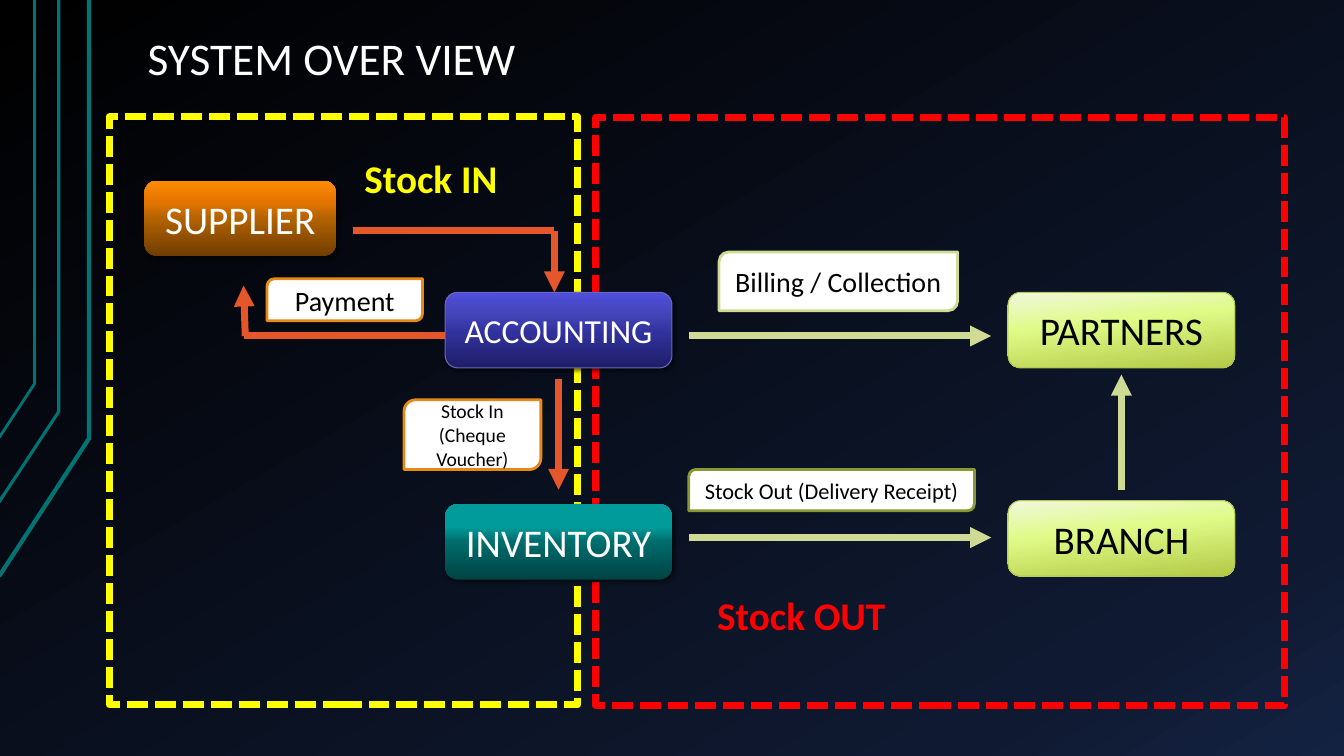
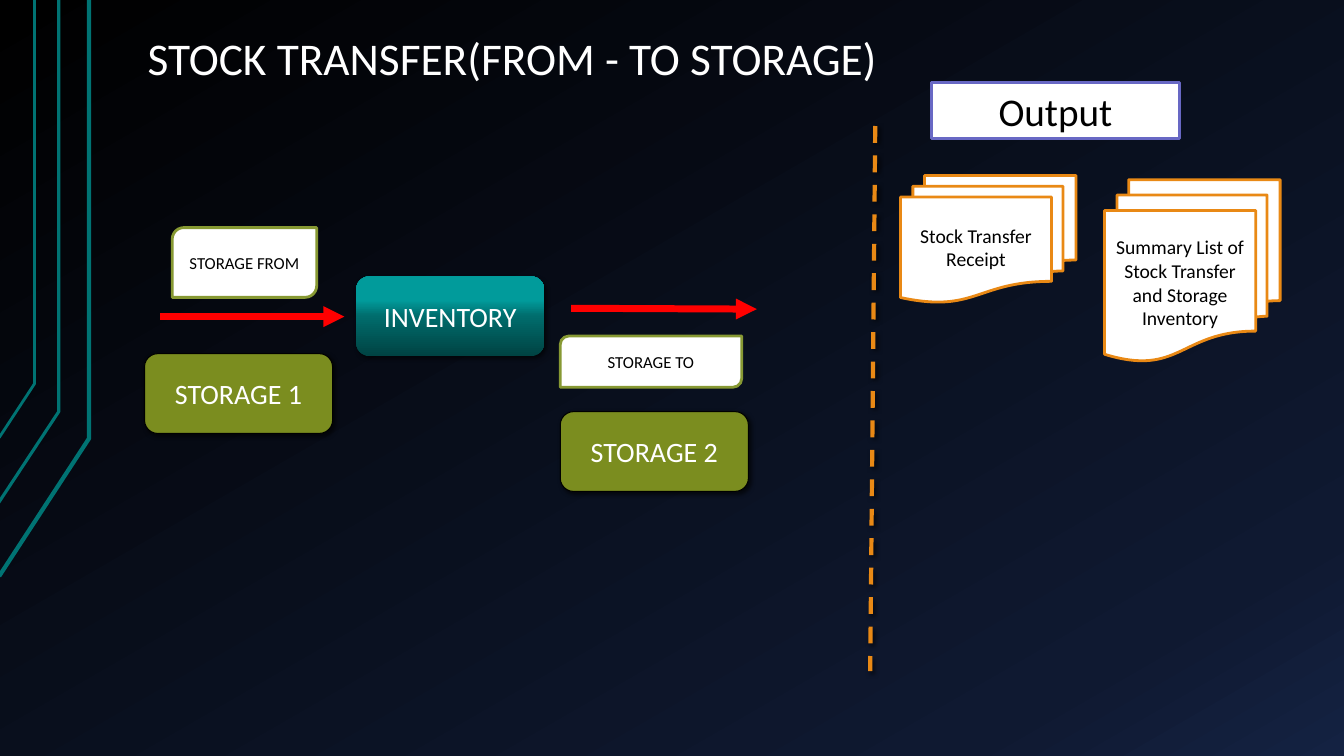
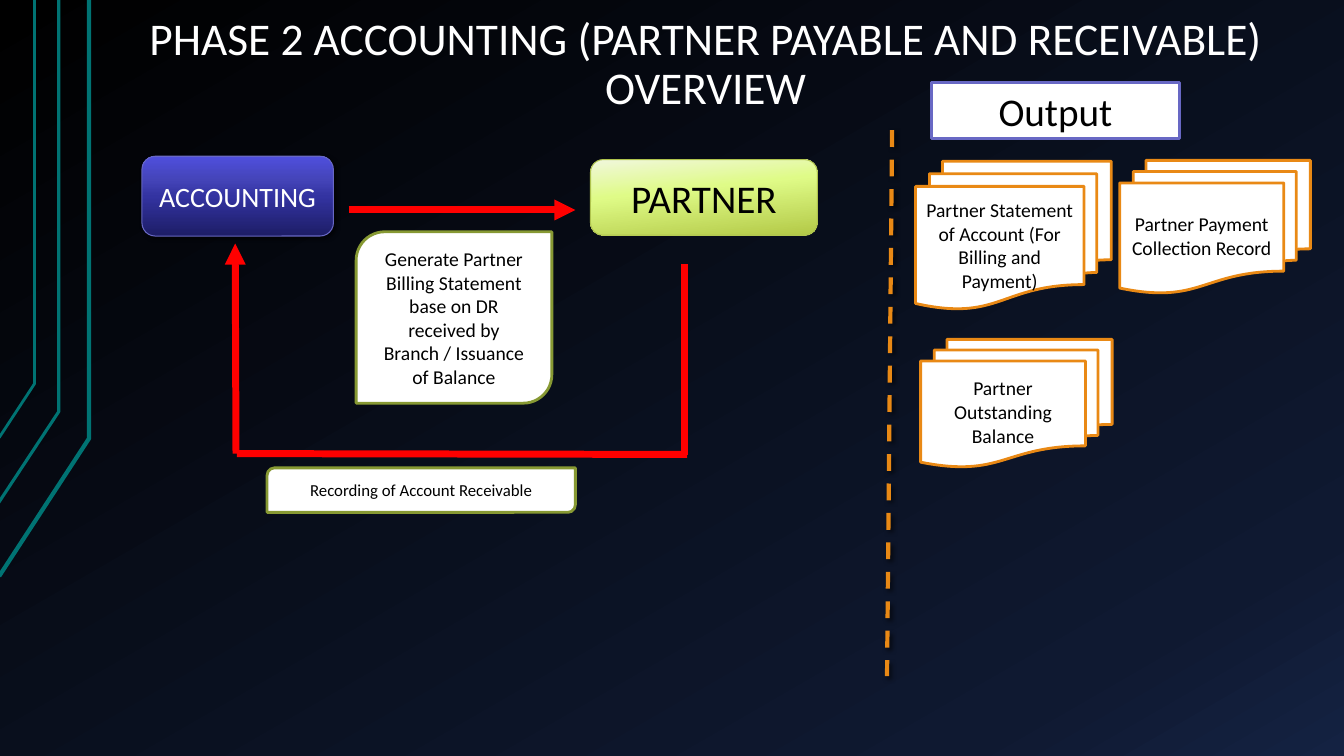
"""Build three flow-chart slides about stock, transfers and partner accounting."""
from lxml import etree
from pptx import Presentation
from pptx.dml.color import RGBColor
from pptx.enum.dml import MSO_LINE
from pptx.enum.shapes import MSO_CONNECTOR, MSO_SHAPE
from pptx.enum.text import MSO_ANCHOR, MSO_AUTO_SIZE, PP_ALIGN
from pptx.oxml.ns import qn
from pptx.util import Emu, Inches, Pt

LEFT, CENTER = PP_ALIGN.LEFT, PP_ALIGN.CENTER
MIDDLE, BOTTOM = MSO_ANCHOR.MIDDLE, MSO_ANCHOR.BOTTOM
RECT, ROUNDED = MSO_SHAPE.RECTANGLE, MSO_SHAPE.ROUNDED_RECTANGLE
DIAGONAL = MSO_SHAPE.ROUND_2_DIAG_RECTANGLE
DOCUMENTS = MSO_SHAPE.FLOWCHART_MULTIDOCUMENT
SHORT_DASH, DASH = MSO_LINE.SQUARE_DOT, MSO_LINE.DASH
STRAIGHT = MSO_CONNECTOR.STRAIGHT

FONT = "Calibri"
WHITE, BLACK, RED, YELLOW = "FFFFFF", "000000", "FF0000", "FFFF00"
ORANGE, RUST, LIME, OLIVE = "E98915", "E5572B", "CFDB94", "879933"
TEAL, INDIGO = "007373", "6868C4"

COLUMNS, ROWS = 160, 90
CELL = Inches(1) / 12

BACKDROP = ([(0, BLACK), (85, "0F1931"), (100, "142242")], 60)
RAILS = [
    ([(-0.1, 68.6), (10.6, 52.2), (10.6, 0)], 3),
    ([(-0.2, 59.9), (7, 49), (7, 0)], 2.25),
    ([(-0.1, 52.1), (4.1, 45.7), (4.1, 0)], 2),
]


def glossy(*colors):
    """Return a bottom-to-top gradient with the shared stops."""
    return list(zip((0, 50, 70, 100), colors)), 270


STYLES = {
    "yellow zone": dict(preset=RECT, line=YELLOW, width=5, dash=SHORT_DASH),
    "red zone": dict(preset=RECT, line=RED, width=5, dash=SHORT_DASH),
    "supplier": dict(fill=glossy("6F3D00", "B36200", "E27400", "FE8B00"),
                     shadow=True, ink=WHITE),
    "inventory": dict(fill=glossy("004343", "006C6C", "019B9B", "009999"),
                      shadow=True, ink=WHITE),
    "accounting": dict(fill=glossy("1D1D66", "3333A1", "4444B8", "4F4FDD"),
                       line=INDIGO, width=0.75, shadow=True, ink=WHITE),
    "partner": dict(fill=([(0, "F1F7DD"), (40, "DFFB87"), (100, "B3C947")], 84),
                    line="AFC34D", width=0.75),
    "storage": dict(fill="7B8D1F", line=BLACK, width=0.75, shadow=True, ink=WHITE),
    "orange note": dict(preset=DIAGONAL, fill=WHITE, line=ORANGE),
    "lime note": dict(preset=DIAGONAL, fill=WHITE, line=LIME),
    "olive note": dict(preset=DIAGONAL, fill=WHITE, line=OLIVE),
    "documents": dict(preset=DOCUMENTS, fill=WHITE, line=ORANGE),
    "output": dict(preset=RECT, fill=WHITE, line=INDIGO),
}

OUTPUT = ("output", "Output", 28, (110.9, 9.8, 29.5, 6.7))

SLIDES = [
    {
        "title": ("SYSTEM OVER VIEW", LEFT, (16, 3.6, 136, 7.4)),
        "boxes": [
            ("yellow zone", "", 0, (13, 13.9, 55.8, 70)),
            ("red zone", "", 0, (70.9, 14, 82, 70)),
            ("supplier", "SUPPLIER", 28, (17.2, 21.5, 22.8, 9)),
            ("inventory", "INVENTORY", 28, (53, 60, 27, 9)),
            ("accounting", "ACCOUNTING", 24, (53, 34.8, 27, 9)),
            ("partner", "PARTNERS", 28, (120, 34.8, 27, 9)),
            ("partner", "BRANCH", 28, (120, 59.6, 27, 9)),
            ("orange note", "Stock In (Cheque Voucher)", 14, (48.1, 47.6, 16.3, 8.3)),
            ("orange note", "Payment", 20, (31.8, 33.2, 18.5, 5)),
            ("lime note", "Billing / Collection", 20, (85.6, 30, 28.4, 7)),
            ("olive note", "Stock Out (Delivery Receipt)", 16, (82, 55.9, 34, 4.9)),
        ],
        "labels": [
            ("Stock IN", YELLOW, (42.2, 17.8, 18.5, 6.8)),
            ("Stock OUT", RED, (84.2, 69.8, 22.7, 6.8)),
        ],
        "lines": [
            (RUST, False, (42, 27.5, 66, 27.5)),
            (RUST, True, (66, 27.5, 66, 34.8)),
            (RUST, False, (53, 40, 29, 40)),
            (RUST, True, (29.2, 40, 29, 34)),
            (RUST, True, (66.5, 45.1, 66.5, 58.3)),
            (LIME, True, (133.5, 58.3, 133.5, 44.6)),
            (LIME, True, (82, 64, 118, 64)),
            (LIME, True, (82, 40, 118, 40)),
        ],
    },
    {
        "title": ("STOCK TRANSFER(FROM - TO STORAGE)", LEFT, (16, 3.6, 136, 7.4)),
        "boxes": [
            OUTPUT,
            ("documents", "Summary List of Stock Transfer and Storage Inventory", 14,
             (131.5, 21.4, 20.9, 21.6)),
            ("documents", "Stock Transfer Receipt", 14, (107.2, 20.9, 20.9, 15.1)),
            ("olive note", "STORAGE FROM", 12, (20.5, 27.1, 17.2, 8.3)),
            ("inventory", "INVENTORY", 20, (42.4, 32.9, 22.4, 9.5)),
            ("olive note", "STORAGE TO", 12, (66.7, 40, 21.6, 6.1)),
            ("storage", "STORAGE 2", 20, (66.7, 49, 22.4, 9.5)),
            ("storage", "STORAGE 1", 20, (17.2, 42.1, 22.4, 9.5)),
        ],
        "lines": [
            (RED, True, (19.1, 37.7, 41, 37.7)),
            (RED, True, (68, 36.7, 90.1, 36.8)),
        ],
        "divider": (104.2, 15, 103.6, 79.9),
    },
    {
        "title": ("PHASE 2 ACCOUNTING (PARTNER PAYABLE AND RECEIVABLE) OVERVIEW",
                  CENTER, (16, 1, 136, 13.4)),
        "boxes": [
            ("accounting", "ACCOUNTING", 20, (16.9, 18.6, 22.8, 9.5)),
            OUTPUT,
            ("documents", "Partner Statement of Account (For Billing and Payment)", 14,
             (109, 19.2, 23.3, 17.6)),
            ("partner", "PARTNER", 28, (70.3, 19, 27, 9)),
            ("documents", "Partner Payment Collection Record", 14,
             (133.3, 19.1, 22.7, 15.8)),
            ("documents", "Partner Outstanding Balance", 14, (109.6, 40.4, 22.8, 15.2)),
            ("olive note", "Generate Partner Billing Statement base on DR received by "
             "Branch / Issuance of Balance", 14, (42.4, 27.6, 23.3, 20.4)),
            ("olive note", "Recording of Account Receivable", 12,
             (31.8, 55.7, 36.7, 5.3)),
        ],
        "lines": [
            (RED, True, (28.1, 54, 28, 29)),
            (RED, True, (41.5, 25, 68.5, 25)),
            (RED, False, (81.5, 54.2, 81.5, 31.4)),
            (RED, False, (81.8, 54.1, 28.2, 54)),
        ],
        "divider": (106.2, 15.5, 105.6, 80.5),
    },
]


def color(value):
    """Turn a hex string into a colour."""
    return RGBColor.from_string(value)


def grid(*cells):
    """Turn grid cells into slide lengths."""
    return [Emu(round(cell * CELL)) for cell in cells]


def paint(fill, owner, value):
    """Apply no fill, a solid colour or a gradient of (stops, angle)."""
    if value is None:
        fill.background()
    elif isinstance(value, str):
        fill.solid()
        fill.fore_color.rgb = color(value)
    else:
        stops, angle = value
        fill.gradient()
        fill.gradient_angle = 360 - angle
        stop_list = next(owner.iter(qn("a:gsLst")))
        for old_stop in list(stop_list):
            stop_list.remove(old_stop)
        for position, shade in stops:
            stop = etree.SubElement(stop_list, qn("a:gs"), pos=str(position * 1000))
            etree.SubElement(stop, qn("a:srgbClr"), val=shade)


def stroke(line, value, width, dash=None):
    """Set a line's colour, width and dash."""
    paint(line.fill, None, value)
    if value:
        line.width = Pt(width)
    if dash:
        line.dash_style = dash


def set_shadow(item, visible):
    """Give an item a soft shadow, or switch the theme's shadow off."""
    effects = etree.SubElement(item.element.find(qn("p:spPr")), qn("a:effectLst"))
    if visible:
        outer = etree.SubElement(effects, qn("a:outerShdw"), blurRad=str(Pt(3)),
                                 dist=str(Pt(2)), dir=str(45 * 60000))
        shade = etree.SubElement(outer, qn("a:srgbClr"), val=BLACK)
        etree.SubElement(shade, qn("a:alpha"), val="60000")


def write(frame, text, size, ink, align, bold=False):
    """Put one formatted run in the frame and return its paragraph."""
    para = frame.paragraphs[0]
    para.alignment = align
    span = para.add_run()
    span.text = text
    span.font.name = FONT
    span.font.size = Pt(size)
    span.font.bold = bold
    span.font.color.rgb = color(ink)
    return para


def add_title(page, text, align, place):
    """Move and format the title placeholder."""
    title = page.shapes.title
    title.left, title.top, title.width, title.height = grid(*place)
    frame = title.text_frame
    frame.word_wrap = True
    frame.auto_size = MSO_AUTO_SIZE.NONE
    frame.vertical_anchor = BOTTOM
    frame.margin_left = frame.margin_right = Inches(0.13)
    frame.margin_top = frame.margin_bottom = Inches(0.07)
    write(frame, text, 32.4, WHITE, align).line_spacing = 0.9


def add_box(page, style, text, size, place):
    """Draw one preset shape in a named style."""
    look = STYLES[style]
    box = page.shapes.add_shape(look.get("preset", ROUNDED), *grid(*place))
    paint(box.fill, box.element, look.get("fill"))
    stroke(box.line, look.get("line"), look.get("width", 2), look.get("dash"))
    set_shadow(box, look.get("shadow", False))
    if text:
        box.text_frame.word_wrap = True
        box.text_frame.vertical_anchor = MIDDLE
        write(box.text_frame, text, size, look.get("ink", BLACK), CENTER)


def add_label(page, text, ink, place):
    """Write a bold zone name."""
    label = page.shapes.add_textbox(*grid(*place))
    label.text_frame.word_wrap = False
    label.text_frame.auto_size = MSO_AUTO_SIZE.SHAPE_TO_FIT_TEXT
    write(label.text_frame, text, 28, ink, LEFT, bold=True)


def add_line(page, ink, arrow, ends, width=5, dash=None, shadow=False):
    """Draw a straight connector, with an arrowhead if asked."""
    connector = page.shapes.add_connector(STRAIGHT, *grid(*ends))
    stroke(connector.line, ink, width, dash)
    if arrow:
        outline = next(connector.element.iter(qn("a:ln")))
        etree.SubElement(outline, qn("a:tailEnd"), type="triangle")
    set_shadow(connector, shadow)


def add_rails(page, layout):
    """Draw the bent side lines and hand them to the layout."""
    for points, width in RAILS:
        start, *others = [grid(*point) for point in points]
        builder = page.shapes.build_freeform(*start)
        builder.add_line_segments(others, close=False)
        rail = builder.convert_to_shape()
        paint(rail.fill, rail.element, None)
        stroke(rail.line, TEAL, width)
        set_shadow(rail, False)
        layout.shapes.element.append(rail.element)


def build():
    """Build and save the deck."""
    deck = Presentation()
    deck.slide_width, deck.slide_height = grid(COLUMNS, ROWS)
    layout = deck.slide_layouts[5]
    paint(layout.background.fill, layout.element, BACKDROP)
    for content in SLIDES:
        page = deck.slides.add_slide(layout)
        add_title(page, *content["title"])
        for box in content["boxes"]:
            add_box(page, *box)
        for label in content.get("labels", []):
            add_label(page, *label)
        for line in content["lines"]:
            add_line(page, *line)
        if "divider" in content:
            add_line(page, ORANGE, False, content["divider"], 3, DASH, True)
    add_rails(deck.slides[0], layout)
    deck.save("out.pptx")


build()
